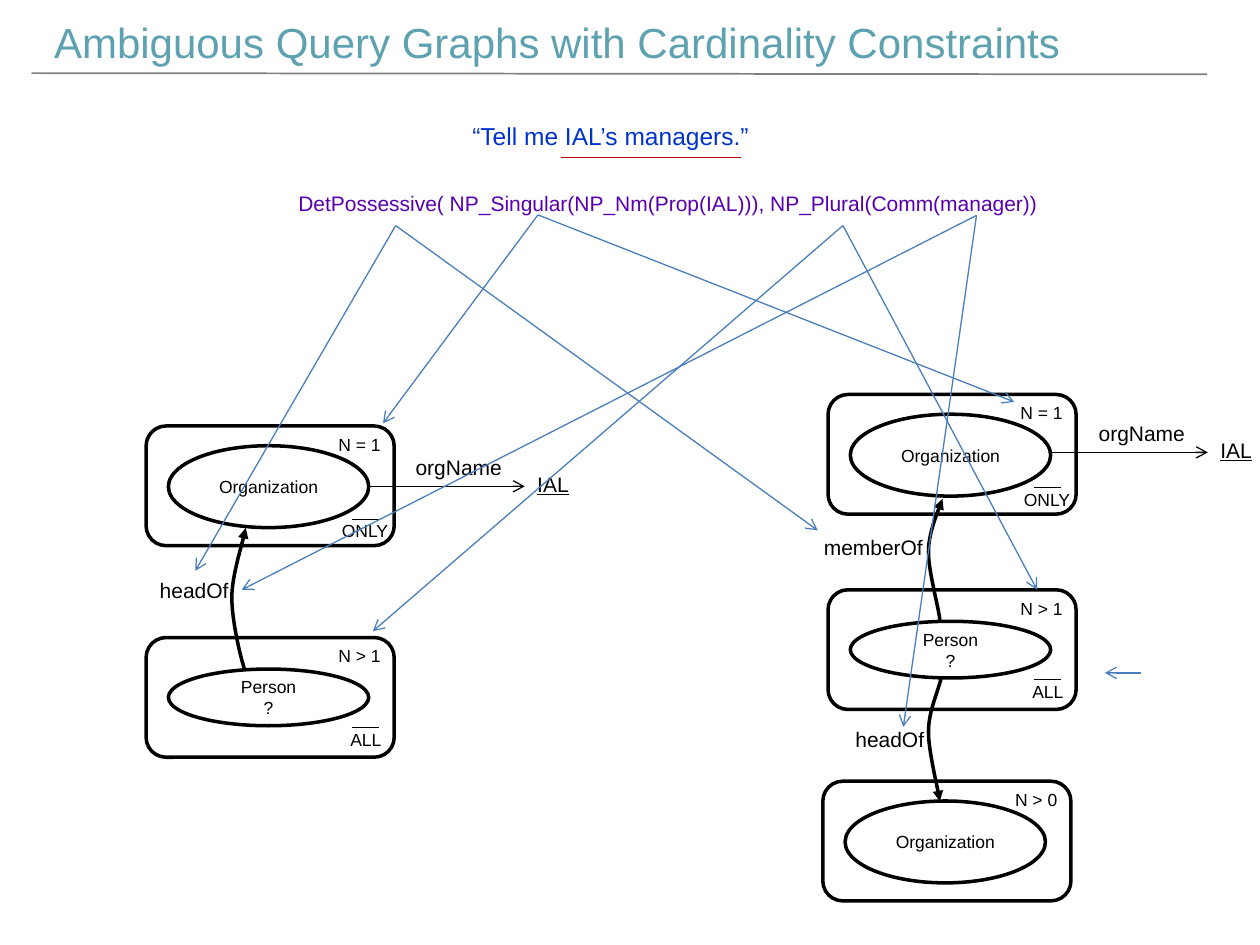
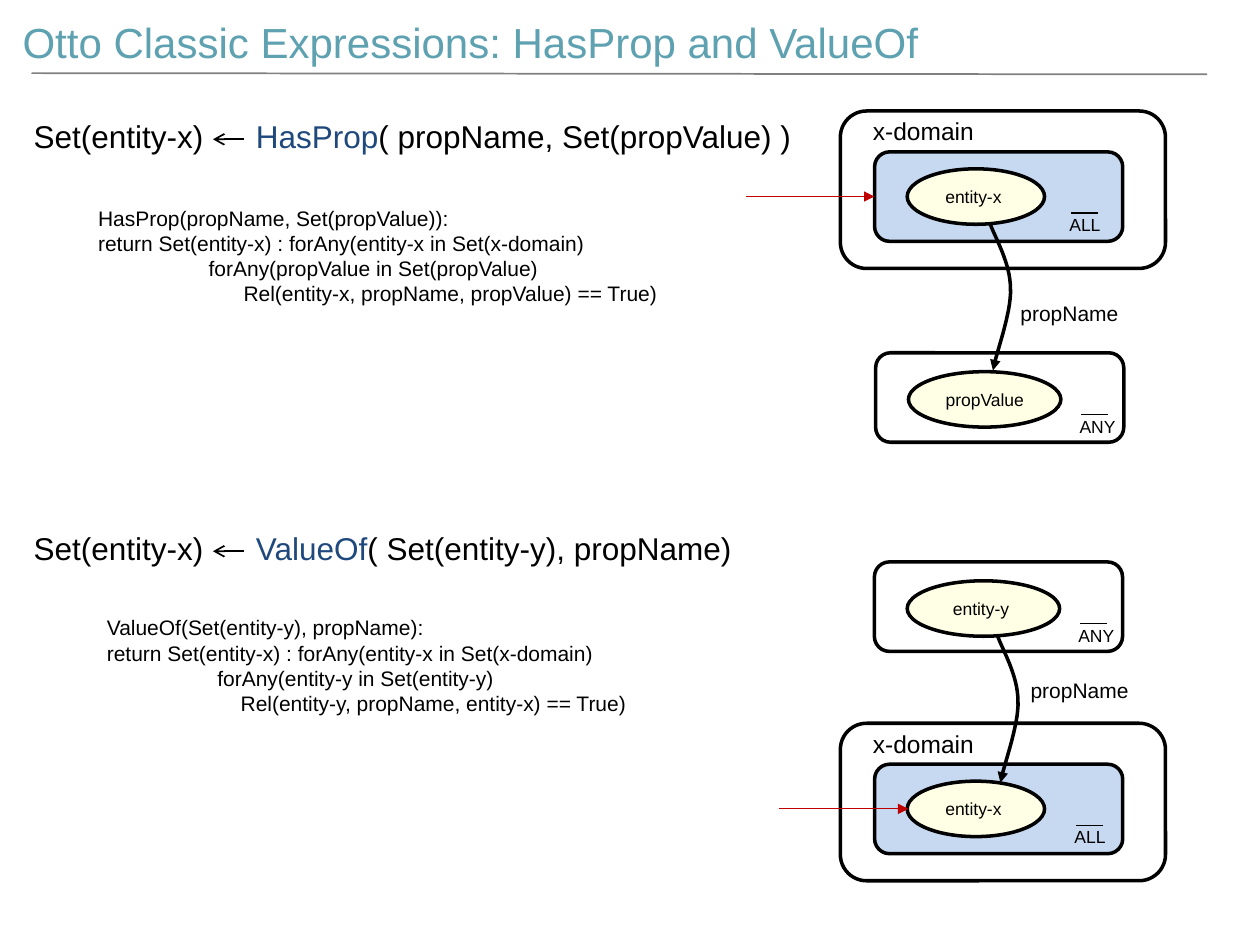
from dataclasses import dataclass
from typing import NamedTuple

from pptx import Presentation
from pptx.dml.color import RGBColor
from pptx.enum.shapes import MSO_CONNECTOR as Connector, MSO_SHAPE as Preset
from pptx.enum.text import MSO_ANCHOR as Anchor, MSO_AUTO_SIZE as AutoSize, PP_ALIGN as Align
from pptx.oxml.xmlchemy import OxmlElement
from pptx.shapes.autoshape import Shape
from pptx.slide import Slide
from pptx.util import Pt

FONT = "Arial"
BLACK = RGBColor(0x00, 0x00, 0x00)
TEAL = RGBColor(0x5E, 0xA1, 0xB0)
GRAY = RGBColor(0x80, 0x80, 0x80)
QUERY_BLUE = RGBColor(0x00, 0x33, 0xCC)
PURPLE = RGBColor(0x58, 0x00, 0xB0)
LINK_BLUE = RGBColor(0x4B, 0x7E, 0xBC)
NAVY = RGBColor(0x1F, 0x49, 0x7D)
RED = RGBColor(0xC0, 0x00, 0x00)
PALE_BLUE = RGBColor(0xC6, 0xD9, 0xF1)
CREAM = RGBColor(0xFF, 0xFF, 0xE5)

CARD_WIDTH = 141.8
TAG_WIDTHS = {"ONLY": 41.8, "ALL": 32.4, "ANY": 35.3}
BAR_OFFSETS = {"ONLY": 13, "ALL": 8.2, "ANY": 8.2}
CURVE_STEPS = 16


class Point(NamedTuple):
    x: float
    y: float

    def shifted(self, dx: float, dy: float) -> "Point":
        return Point(self.x + dx, self.y + dy)


class Area(NamedTuple):
    left: float
    top: float
    width: float
    height: float


class Span(NamedTuple):
    text: str
    color: RGBColor = BLACK
    underline: bool = False


@dataclass
class Card:
    corner: Point
    lines: list[str]
    count: str
    tag: str = ""


@dataclass
class Label:
    text: str
    corner: Point
    width: float
    underline: bool = False


@dataclass
class Operator:
    name: str
    arguments: str
    top: float
    width: float
    code_corner: Point
    code: list[str]


@dataclass
class Domain:
    corner: Point
    tag_left: float


CARDS = [
    Card(Point(83.5, 243.4), ["Organization"], "N = 1", "ONLY"),
    Card(Point(83.5, 364.3), ["Person", "?"], "N > 1", "ALL"),
    Card(Point(473.2, 225.4), ["Organization"], "N = 1", "ONLY"),
    Card(Point(473.2, 337), ["Person", "?"], "N > 1", "ALL"),
    Card(Point(470.2, 446.4), ["Organization"], "N > 0"),
]
RELATIONS = [
    Label("headOf", Point(84.2, 326.2), 54),
    Label("memberOf", Point(463.7, 301.7), 72),
    Label("headOf", Point(481.7, 411.8), 54),
]
RELATION_CURVES = [
    [Point(139.7, 382.3), Point(137.5, 375.8), Point(132.5, 355), Point(132.5, 341.3),
     Point(132.5, 328.3), Point(139, 309.6), Point(140.4, 301.7)],
    [Point(537.1, 355), Point(537.1, 349.2), Point(530.6, 327.6), Point(530.6, 315.4),
     Point(530.6, 303.8), Point(536.4, 291.6), Point(538.6, 285.1)],
    [Point(537.8, 387.4), Point(536.4, 394.6), Point(530.6, 406.1), Point(530.6, 418.3),
     Point(530.6, 429.8), Point(536.4, 452.2), Point(537.1, 457.9)],
]
TERM_TARGETS = {
    Point(226.1, 128.9): [Point(111.6, 326.2), Point(467.3, 303.1)],
    Point(481.7, 128.9): [Point(213.1, 360.7), Point(592.6, 337)],
    Point(307.4, 122.8): [Point(218.9, 241.9), Point(579.6, 229.7)],
    Point(558, 123.1): [Point(138.2, 337), Point(516.2, 415.4)],
    Point(652.3, 384.5): [Point(631.4, 384.5)],
}
NAME_EDGES = [Point(210.2, 277.9), Point(600.5, 258.5)]

OPERATORS = [
    Operator("HasProp", "( propName, Set(propValue) )", 63.4, 457.9, Point(49, 113.8), [
        "HasProp(propName, Set(propValue)):",
        "return Set(entity-x) : forAny(entity-x in Set(x-domain)",
        "                   forAny(propValue in Set(propValue)",
        "                         Rel(entity-x, propName, propValue) == True)",
    ]),
    Operator("ValueOf", "( Set(entity-y), propName)", 298.8, 416.9, Point(54, 347.8), [
        "ValueOf(Set(entity-y), propName):",
        "return Set(entity-x) : forAny(entity-x in Set(x-domain)",
        "                   forAny(entity-y in Set(entity-y)",
        "                       Rel(entity-y, propName, entity-x) == True)",
    ]),
]
DOMAINS = [Domain(Point(480.2, 63.4), 123.8), Domain(Point(480.2, 413.3), 126.7)]
VALUE_CARDS = {"propValue ": Point(500.4, 201.6), "entity-y ": Point(499.7, 321.1)}
PROPERTY_LABELS = [
    Label("propName", Point(576, 168.5), 70.6),
    Label("propName", Point(581.8, 383.8), 70.6),
]
PROPERTY_CURVE = [
    Point(565.9, 128.2), Point(568.8, 136.1), Point(577.4, 150.5), Point(577.4, 164.9),
    Point(578.2, 178.6), Point(568.1, 205.2), Point(567.4, 211.7),
]
CURVE_SHIFTS = [(0, 0), (4.3, 235.6)]
RESULT_ARROWS = [
    (Point(426.2, 112.3), Point(499.7, 112.3)),
    (Point(445, 462.2), Point(519.1, 462.2)),
]


def add_spans(para, spans: list[Span], size: float) -> None:
    for part in spans:
        span = para.add_run()
        span.text = part.text
        span.font.name = FONT
        span.font.size = Pt(size)
        span.font.color.rgb = part.color
        if part.underline:
            span.font.underline = True


def add_text(page: Slide, area: Area, paragraphs: list[list[Span]], size: float,
             wrap: bool = False, tab: float = 0) -> None:
    box = page.shapes.add_textbox(*map(Pt, area))
    frame = box.text_frame
    frame.word_wrap = wrap
    frame.auto_size = AutoSize.SHAPE_TO_FIT_TEXT
    for index, spans in enumerate(paragraphs):
        para = frame.add_paragraph() if index else frame.paragraphs[0]
        if tab:
            stops = OxmlElement("a:tabLst")
            stop = OxmlElement("a:tab")
            stop.set("pos", str(Pt(tab)))
            stop.set("algn", "l")
            stops.append(stop)
            para._p.get_or_add_pPr().append(stops)
        add_spans(para, spans, size)


def add_label(page: Slide, label: Label) -> None:
    add_text(page, Area(*label.corner, label.width, 21.6),
             [[Span(label.text, underline=label.underline)]], 12)


def add_arrowhead(shape, kind: str) -> None:
    tail = OxmlElement("a:tailEnd")
    tail.set("type", kind)
    shape.line._get_or_add_ln().append(tail)


def add_line(page: Slide, start: Point, end: Point, color: RGBColor = BLACK,
             weight: float = 0.75, arrow: str = "") -> None:
    line = page.shapes.add_connector(Connector.STRAIGHT, *map(Pt, (*start, *end)))
    line.line.color.rgb = color
    line.line.width = Pt(weight)
    line._element.spPr.append(OxmlElement("a:effectLst"))
    if arrow:
        add_arrowhead(line, arrow)


def style_outline(shape: Shape, fill: RGBColor | None = None) -> None:
    shape.shadow.inherit = False
    if fill is None:
        shape.fill.background()
    else:
        shape.fill.solid()
        shape.fill.fore_color.rgb = fill
    shape.line.color.rgb = BLACK
    shape.line.width = Pt(2)


def add_outline(page: Slide, preset: Preset, area: Area, fill: RGBColor | None = None,
                lines: list[str] | None = None) -> None:
    shape = page.shapes.add_shape(preset, *map(Pt, area))
    style_outline(shape, fill)
    frame = shape.text_frame
    frame.vertical_anchor = Anchor.MIDDLE
    for index, text in enumerate(lines or []):
        para = frame.add_paragraph() if index else frame.paragraphs[0]
        para.alignment = Align.CENTER
        add_spans(para, [Span(text)], 10)


def curve_point(controls: list[Point], t: float) -> tuple[int, int]:
    weights = ((1 - t) ** 3, 3 * t * (1 - t) ** 2, 3 * t * t * (1 - t), t ** 3)
    return (Pt(sum(w * p.x for w, p in zip(weights, controls))),
            Pt(sum(w * p.y for w, p in zip(weights, controls))))


def add_curve(page: Slide, points: list[Point]) -> None:
    builder = page.shapes.build_freeform(*map(Pt, points[0]))
    vertices = [curve_point(points[first:first + 4], step / CURVE_STEPS)
                for first in range(0, len(points) - 1, 3)
                for step in range(1, CURVE_STEPS + 1)]
    builder.add_line_segments(vertices, close=False)
    curve = builder.convert_to_shape()
    style_outline(curve)
    add_arrowhead(curve, "triangle")


def add_tag(page: Slide, tag: str, corner: Point) -> None:
    add_text(page, Area(*corner, TAG_WIDTHS[tag], 19.4), [[Span(tag)]], 10)
    bar = corner.shifted(BAR_OFFSETS[tag], 2.9)
    add_line(page, bar, bar.shifted(15.1, 0))


def add_title(page: Slide, text: str, left: float, width: float) -> None:
    add_text(page, Area(left, 5.8, width, 36), [[Span(text, TEAL)]], 24)
    add_line(page, Point(18, 41.8), Point(689.8, 42.5), GRAY, 1)


def add_card(page: Slide, card: Card) -> None:
    corner = card.corner
    top, height = (11.3, 46.8) if len(card.lines) == 1 else (18, 32.4)
    add_outline(page, Preset.OVAL, Area(*corner.shifted(12.7, top), 114.5, height),
                lines=card.lines)
    add_outline(page, Preset.ROUNDED_RECTANGLE, Area(*corner, CARD_WIDTH, 68.4))
    add_text(page, Area(*corner.shifted(102.8, 1), 38.9, 19.4), [[Span(card.count)]], 10)
    if card.tag:
        right_inset = 37 if card.tag == "ONLY" else 32.2
        tag_top = 50.4 if card.tag == "ONLY" else 48.6
        add_tag(page, card.tag, corner.shifted(CARD_WIDTH - right_inset, tag_top))


def add_name_edge(page: Slide, start: Point) -> None:
    end = start.shifted(89.7, 0)
    add_line(page, start, end, arrow="arrow")
    add_label(page, Label("orgName", start.shifted(20.2, -21.6), 64.1))
    add_label(page, Label("IAL", end.shifted(0, -12.2), 32.4, True))


def add_operator(page: Slide, operator: Operator) -> None:
    heading = [Span("Set(entity-x)\t"), Span(operator.name, NAVY), Span(operator.arguments)]
    add_text(page, Area(12.2, operator.top, operator.width, 28.8), [heading], 18, tab=127)
    arrow_y = operator.top + 16.2
    add_line(page, Point(139.7, arrow_y), Point(121.7, arrow_y), weight=1, arrow="arrow")
    add_text(page, Area(*operator.code_corner, 360, 65.5),
             [[Span(line)] for line in operator.code], 12, wrap=True)


def add_domain(page: Slide, domain: Domain) -> None:
    corner = domain.corner
    add_outline(page, Preset.ROUNDED_RECTANGLE, Area(*corner, 185.8, 90))
    add_outline(page, Preset.ROUNDED_RECTANGLE,
                Area(*corner.shifted(19.6, 23.4), CARD_WIDTH, 51.1), PALE_BLUE)
    add_text(page, Area(*corner.shifted(11.5, -0.4), 72.7, 24.5), [[Span("x-domain")]], 14)
    add_outline(page, Preset.OVAL, Area(*corner.shifted(38.2, 33.1), 78.5, 31.7),
                CREAM, ["entity-x "])
    add_tag(page, "ALL", corner.shifted(domain.tag_left, 55.4))


def add_value_card(page: Slide, name: str, corner: Point) -> None:
    add_outline(page, Preset.ROUNDED_RECTANGLE, Area(*corner, CARD_WIDTH, 51.1))
    add_outline(page, Preset.OVAL, Area(*corner.shifted(18.7, 10.8), 87.1, 31.7),
                CREAM, [name])
    add_tag(page, "ANY", corner.shifted(109.4, 32.4))


def build_query_graphs(page: Slide) -> None:
    add_title(page, "Ambiguous Query Graphs with Cardinality Constraints", 23.8, 595.4)
    add_text(page, Area(262.8, 65.5, 173.5, 24.5),
             [[Span("“Tell me IAL’s managers.”", QUERY_BLUE)]], 14)
    add_line(page, Point(320.4, 90), Point(423.4, 90), RED)
    logical_form = "DetPossessive( NP_Singular(NP_Nm(Prop(IAL))), NP_Plural(Comm(manager))"
    add_text(page, Area(163.4, 105.1, 527, 21.6), [[Span(logical_form, PURPLE)]], 12, wrap=True)
    for card in CARDS:
        add_card(page, card)
    for curve in RELATION_CURVES:
        add_curve(page, curve)
    for label in RELATIONS:
        add_label(page, label)
    for start in NAME_EDGES:
        add_name_edge(page, start)
    for term, targets in TERM_TARGETS.items():
        for target in targets:
            add_line(page, term, target, LINK_BLUE, arrow="arrow")


def build_expressions(page: Slide) -> None:
    add_title(page, "Otto Classic Expressions: HasProp and ValueOf", 5.8, 531.4)
    for operator in OPERATORS:
        add_operator(page, operator)
    for domain in DOMAINS:
        add_domain(page, domain)
    for name, corner in VALUE_CARDS.items():
        add_value_card(page, name, corner)
    for shift in CURVE_SHIFTS:
        add_curve(page, [point.shifted(*shift) for point in PROPERTY_CURVE])
    for label in PROPERTY_LABELS:
        add_label(page, label)
    for start, end in RESULT_ARROWS:
        add_line(page, start, end, RED, arrow="triangle")


def main() -> None:
    deck = Presentation()
    deck.slide_width, deck.slide_height = Pt(720), Pt(540)
    for build in (build_query_graphs, build_expressions):
        build(deck.slides.add_slide(deck.slide_layouts[6]))
    deck.save("out.pptx")


if __name__ == "__main__":
    main()
